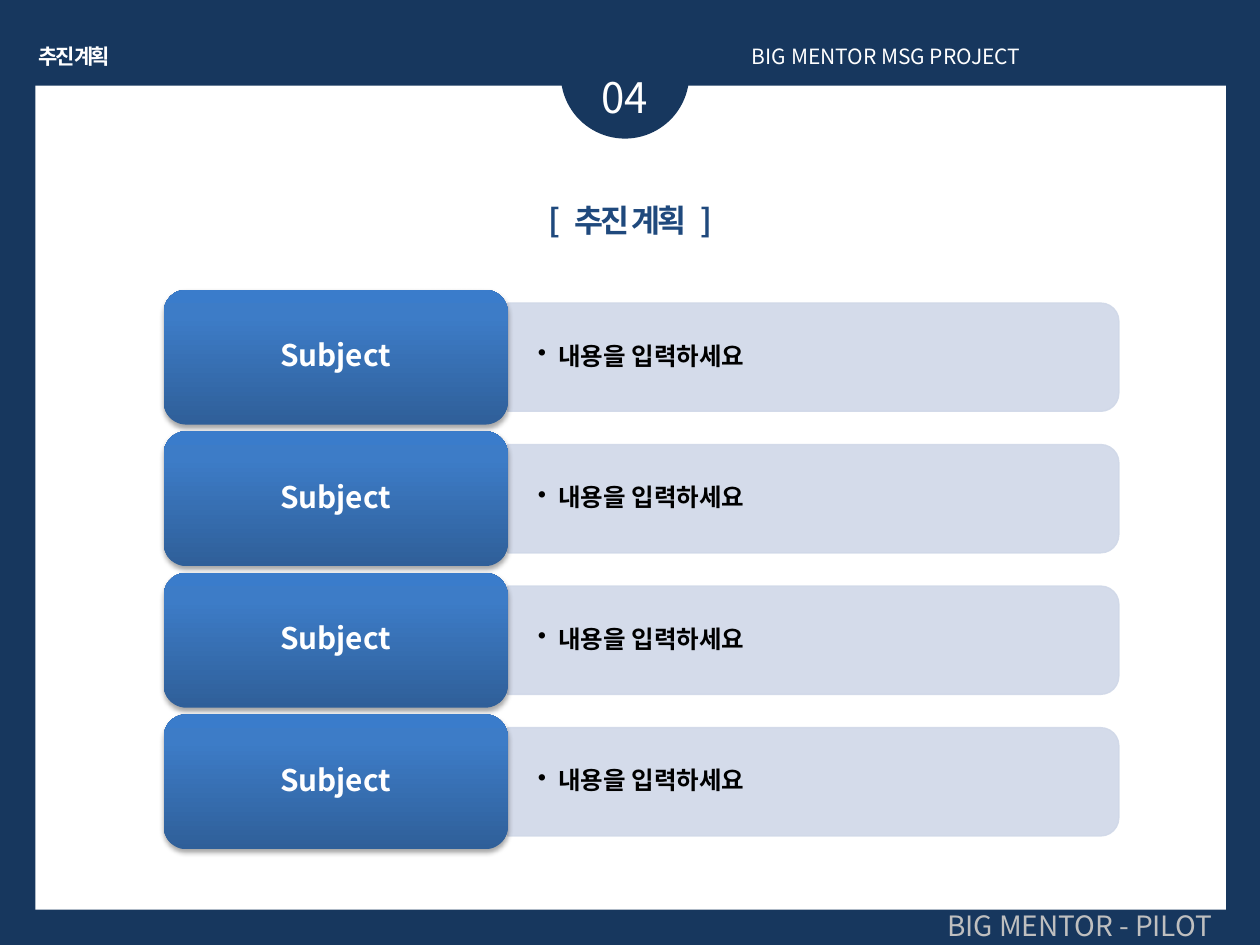
from copy import deepcopy

from lxml.etree import SubElement
from pptx import Presentation
from pptx.dml.color import RGBColor
from pptx.enum.shapes import MSO_SHAPE as Shape
from pptx.enum.text import MSO_ANCHOR as Anchor, MSO_AUTO_SIZE as AutoSize, PP_ALIGN as Align
from pptx.oxml.ns import qn
from pptx.util import Inches, Pt

FONT = "Noto Sans CJK KR"
NAVY = RGBColor(0x17, 0x37, 0x5E)
TITLE_BLUE = RGBColor(0x1F, 0x49, 0x7D)
PALE_BLUE = RGBColor(0xD0, 0xD8, 0xE8)
GREY = RGBColor(0xBF, 0xBF, 0xBF)
WHITE = RGBColor(0xFF, 0xFF, 0xFF)
BLACK = RGBColor(0, 0, 0)
CARD_STOPS = [
    (0, RGBColor(0x2F, 0x5F, 0x99)),
    (0.8, RGBColor(0x3D, 0x7C, 0xC7)),
    (1, RGBColor(0x3A, 0x7C, 0xCB)),
]

PLAN = [("Subject", "내용을 입력하세요")] * 4
FIRST_ROW, LAST_ROW = 2.3, 5.67
CARD_LEFT, CARD_WIDTH, CARD_HEIGHT = 1.3, 2.73, 1.07
BAR_WIDTH, BAR_HEIGHT = 4.85, 0.86
DETAIL_HEIGHT = 0.87


def add_block(slide, kind, left, top, width, height, color):
    """Add a flat preset shape without line or shadow."""
    block = slide.shapes.add_shape(
        kind, Inches(left), Inches(top), Inches(width), Inches(height))
    block.shadow.inherit = False
    block.fill.solid()
    block.fill.fore_color.rgb = color
    block.line.fill.background()
    return block


def style_paragraph(paragraph, size, color, bold=False, align=None):
    """Set the font and alignment of a whole paragraph."""
    font = paragraph.font
    font.name, font.size, font.bold = FONT, Pt(size), bold
    font.color.rgb = color
    paragraph.alignment = align
    properties = paragraph._p.get_or_add_pPr().find(qn("a:defRPr"))
    SubElement(properties, qn("a:ea"), typeface=FONT)


def set_insets(frame, side, edge):
    """Set the side and top/bottom margins of a text frame."""
    frame.margin_left = frame.margin_right = Inches(side)
    frame.margin_top = frame.margin_bottom = Inches(edge)


def add_spaced_run(paragraph, text, spacing):
    """Add a run with letter spacing in points."""
    run = paragraph.add_run()
    run.text = text
    run.font._element.set("spc", str(round(spacing * 100)))


def add_label(slide, pieces, left, top, width, height, size, color, bold=False, align=None):
    """Add a one-line text box from (text, letter spacing) pieces."""
    box = slide.shapes.add_textbox(Inches(left), Inches(top), Inches(width), Inches(height))
    frame = box.text_frame
    frame.word_wrap = True
    frame.auto_size = AutoSize.SHAPE_TO_FIT_TEXT
    paragraph = frame.paragraphs[0]
    style_paragraph(paragraph, size, color, bold, align)
    for text, spacing in pieces:
        add_spaced_run(paragraph, text, spacing)


def add_bar(slide, middle):
    """Add the pale bar, turned so that its rounded corners face right."""
    center = CARD_LEFT + CARD_WIDTH + BAR_WIDTH / 2
    bar = add_block(slide, Shape.ROUND_2_SAME_RECTANGLE, center - BAR_HEIGHT / 2,
                    middle - BAR_WIDTH / 2, BAR_HEIGHT, BAR_WIDTH, PALE_BLUE)
    bar.rotation = 90
    bar.adjustments[0], bar.adjustments[1] = 0.167, 0
    bar.line.color.rgb = PALE_BLUE
    bar.line.width = Pt(0.75)
    for color in bar._element.spPr.iter(qn("a:srgbClr")):
        SubElement(color, qn("a:alpha"), val="90000")


def add_card(slide, subject, top):
    """Add the gradient card that names a subject."""
    card = add_block(slide, Shape.ROUNDED_RECTANGLE, CARD_LEFT, top,
                     CARD_WIDTH, CARD_HEIGHT, NAVY)
    card.adjustments[0] = 0.167
    card.fill.gradient()
    card.fill.gradient_angle = 90
    properties = card._element.spPr
    stop_list = properties.find(qn("a:gradFill")).find(qn("a:gsLst"))
    stop_list.append(deepcopy(stop_list[-1]))
    for stop, (position, color) in zip(card.fill.gradient_stops, CARD_STOPS):
        stop.position = position
        stop.color.rgb = color

    shadow = SubElement(properties.find(qn("a:effectLst")), qn("a:outerShdw"),
                        blurRad=str(Pt(3.1)), dist=str(Pt(1.8)), dir="5400000", rotWithShape="0")
    shade = SubElement(shadow, qn("a:srgbClr"), val=str(BLACK))
    SubElement(shade, qn("a:alpha"), val="35000")

    frame = card.text_frame
    frame.word_wrap = True
    frame.vertical_anchor = Anchor.MIDDLE
    set_insets(frame, 0.07, 0.04)
    paragraph = frame.paragraphs[0]
    paragraph.text = subject
    paragraph.line_spacing = 0.9
    style_paragraph(paragraph, 17, WHITE, True, Align.CENTER)


def add_detail(slide, detail, middle):
    """Add the bulleted text that lies on a bar."""
    box = slide.shapes.add_textbox(Inches(4.21), Inches(middle - DETAIL_HEIGHT / 2),
                                   Inches(4.65), Inches(DETAIL_HEIGHT))
    frame = box.text_frame
    frame.word_wrap = True
    frame.vertical_anchor = Anchor.MIDDLE
    set_insets(frame, 0.06, 0.03)
    paragraph = frame.paragraphs[0]
    paragraph.text = detail
    paragraph.level = 1
    paragraph.line_spacing = 0.9
    style_paragraph(paragraph, 14, BLACK, True)
    properties = paragraph._p.get_or_add_pPr()
    properties.set("marL", str(Inches(0.16)))
    properties.set("indent", str(Inches(-0.16)))
    bullet = SubElement(properties, qn("a:buChar"), char="•")
    properties.find(qn("a:defRPr")).addprevious(bullet)


def main():
    """Build the plan slide and save it."""
    deck = Presentation()
    deck.slide_width, deck.slide_height = Inches(10), Inches(7.5)
    slide = deck.slides.add_slide(deck.slide_layouts[6])
    slide.background.fill.solid()
    slide.background.fill.fore_color.rgb = NAVY

    add_block(slide, Shape.RECTANGLE, 0.28, 0.68, 9.45, 6.54, WHITE)
    add_block(slide, Shape.OVAL, 4.45, 0.08, 1.02, 1.02, NAVY)
    add_label(slide, [("04", 0)], 4.37, 0.52, 1.18, 0.5, 24, WHITE, align=Align.CENTER)
    title = [("[", -1.5), (" ", 3.6), ("추진 계획", -1.5), (" ", 3.6), ("]", -1.5)]
    add_label(slide, title, 2.72, 1.55, 4.57, 0.4, 18, TITLE_BLUE, True, Align.CENTER)

    pitch = (LAST_ROW - FIRST_ROW) / (len(PLAN) - 1)
    for row, (subject, detail) in enumerate(PLAN):
        top = FIRST_ROW + row * pitch
        middle = top + CARD_HEIGHT / 2
        add_bar(slide, middle)
        add_card(slide, subject, top)
        add_detail(slide, detail, middle)

    add_label(slide, [("추진 계획", -1.5)], 0.18, 0.3, 0.82, 0.3, 12, WHITE, True, Align.CENTER)
    add_label(slide, [("BIG MENTOR - PILOT", 0)], 7.36, 7.16, 2.36, 0.37, 16, GREY,
              align=Align.RIGHT)
    add_label(slide, [("BIG MENTOR MSG PROJECT", 0)], 5.87, 0.3, 3.94, 0.3, 12, WHITE,
              align=Align.JUSTIFY)
    deck.save("out.pptx")


main()
